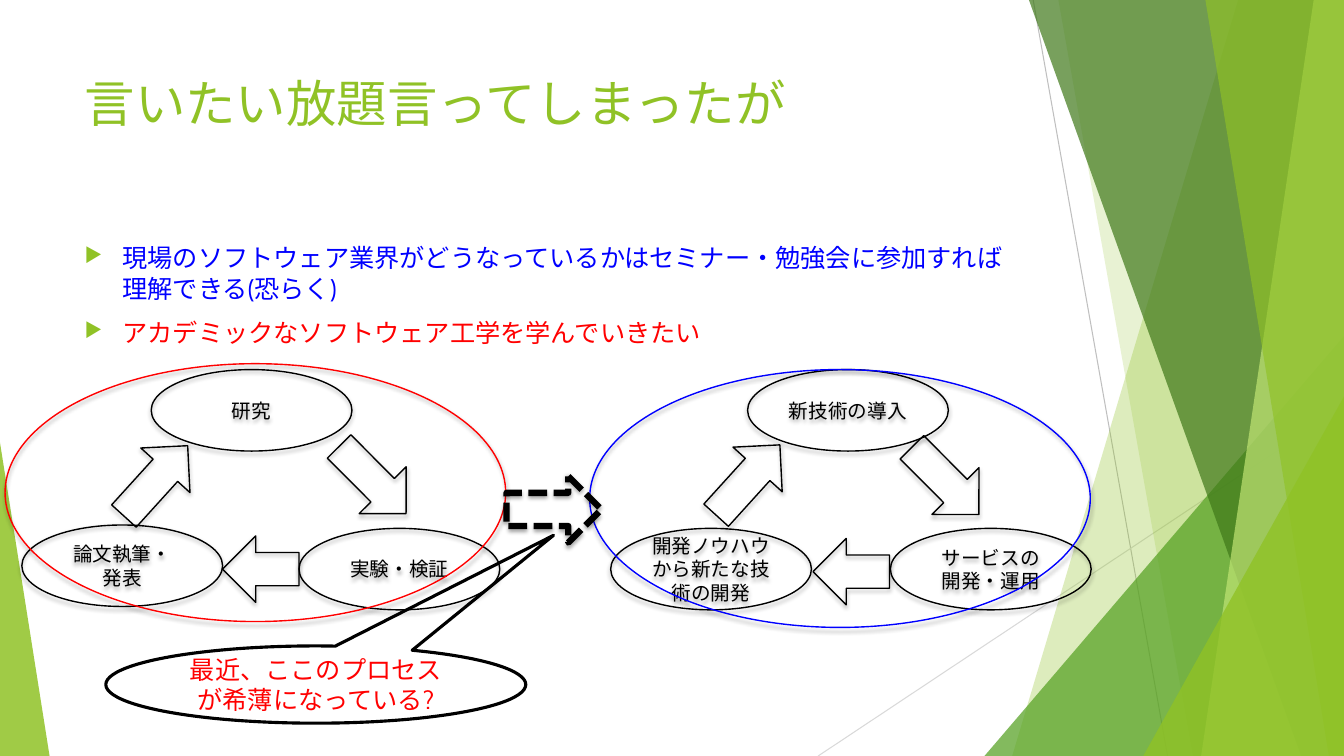
"""Build the slide linking the research cycle to the industry cycle."""
from dataclasses import dataclass
from typing import NamedTuple, Optional

from lxml.etree import SubElement
from pptx import Presentation
from pptx.dml.color import RGBColor
from pptx.enum.dml import MSO_LINE as Dash
from pptx.enum.lang import MSO_LANGUAGE_ID as Language
from pptx.enum.shapes import MSO_CONNECTOR as Connector, MSO_SHAPE as Preset
from pptx.enum.text import MSO_ANCHOR as Anchor, PP_ALIGN as Align
from pptx.oxml.ns import qn
from pptx.util import Emu, Pt

COLUMNS, ROWS, CELL = 160, 90, 76200


@dataclass(frozen=True)
class Theme:
    font: str = "Cabin"
    black: str = "000000"
    red: str = "FF0000"
    blue: str = "0000FF"
    lime: str = "90C226"
    green: str = "54A021"
    forest: str = "3F7819"
    pale: str = "C0E474"
    gray: str = "BFBFBF"
    silver: str = "D9D9D9"
    title: int = 36
    body: int = 18
    label: int = 14


THEME = Theme()


class Box(NamedTuple):
    left: float
    top: float
    width: float
    height: float


class Facet(NamedTuple):
    top: float
    bottom: float
    color: str
    opacity: int


class Wedge(NamedTuple):
    box: Box
    apex: float
    color: str
    opacity: int


@dataclass(frozen=True)
class Figure:
    preset: Preset
    box: Box
    color: str = THEME.black
    weight: float = 1
    text: str = ""
    size: int = THEME.label
    ink: str = THEME.black
    rotation: float = 0
    dash: Optional[Dash] = None
    shadow: bool = True
    adjustments: tuple = ()


def grid(*lengths: float) -> list:
    return [Emu(round(length * CELL)) for length in lengths]


def node(left: float, top: float, text: str) -> Figure:
    return Figure(Preset.OVAL, Box(left, top, 23.9, 9.7), text=text)


def arrow(left: float, top: float, rotation: float, height: float = 11.3, **options) -> Figure:
    return Figure(Preset.UP_ARROW, Box(left, top, 7.9, height), rotation=rotation, **options)


def ring(left: float, top: float, color: str) -> Figure:
    return Figure(Preset.OVAL, Box(left, top, 59.6, 30.7), color)


DECOR = [
    Facet(147.4, 120.5, THEME.lime, 30),
    Facet(126, 142, THEME.lime, 20),
    Wedge(Box(117.2, 40, 42.8, 50), 1, THEME.green, 72),
    Facet(122.5, 154.9, THEME.forest, 70),
    Facet(156.4, 143, THEME.pale, 70),
    Facet(143.5, 158.2, THEME.lime, 65),
    Wedge(Box(136.1, 47.2, 23.9, 42.8), 1, THEME.lime, 80),
    Wedge(Box(0, 52.7, 5.9, 37.3), 0, THEME.lime, 85),
]
RAYS = [((123, 0, 139, ROWS), THEME.gray), ((COLUMNS, 48.4, 97.4, ROWS), THEME.silver)]
BULLETS = [
    ("現場のソフトウェア業界がどうなっているかはセミナー・勉強会に参加すれば理解できる(恐らく)", THEME.blue),
    ("アカデミックなソフトウェア工学を学んでいきたい", THEME.red),
]
FIGURES = [
    node(89, 44, "新技術の導入"),
    node(18, 44, "研究"),
    node(35.6, 62.9, "実験・検証"),
    node(2.6, 62.5, "論文執筆・\n発表"),
    node(106, 62.9, "サービスの\n開発・運用"),
    node(72.7, 62.9, "開発ノウハウから新たな技術の開発"),
    arrow(108.6, 51.6, 135.1),
    arrow(27.1, 63.2, 270, 9.1),
    arrow(14.6, 51.6, 42.2),
    arrow(40.4, 51.5, 135.1),
    arrow(97.4, 63.5, 270, 9.1),
    arrow(85.1, 51.5, 42.2),
    ring(0.6, 43.3, THEME.red),
    ring(70.2, 44, THEME.blue),
    arrow(62, 55, 90, weight=4.5, dash=Dash.SQUARE_DOT),
    Figure(Preset.OVAL_CALLOUT, Box(12.6, 76.9, 50, 9.2), weight=2.25,
           text="最近、ここのプロセスが希薄になっている?", size=THEME.body, ink=THEME.red,
           shadow=False, adjustments=(0.566, -1.932)),
]


def write(paragraph, text: str, *, size: int, color: str, align=Align.LEFT, bullet: bool = False) -> None:
    paragraph.text = text
    paragraph.alignment = align
    for run in paragraph.runs:
        run.font.size = Pt(size)
        run.font.color.rgb = RGBColor.from_string(color)
        run.font.name = THEME.font
        run.font.language_id = Language.JAPANESE
        SubElement(run._r.get_or_add_rPr(), qn("a:ea"), typeface=THEME.font)
    if bullet:
        paragraph.space_before = Pt(10)
        properties = paragraph._p.get_or_add_pPr()
        properties.set("marL", str(Pt(27)))
        properties.set("indent", str(-Pt(27)))
        SubElement(SubElement(properties, qn("a:buClr")), qn("a:srgbClr"), val=THEME.lime)
        SubElement(properties, qn("a:buSzPct"), val="80000")
        SubElement(properties, qn("a:buChar"), char="▶")


def add_text_frame(slide, box: Box):
    frame = slide.shapes.add_textbox(*grid(*box)).text_frame
    frame.word_wrap = True
    return frame


def draw_ray(slide, ends: tuple, color: str) -> None:
    ray = slide.shapes.add_connector(Connector.STRAIGHT, *grid(*ends))
    ray.line.color.rgb = RGBColor.from_string(color)
    ray.line.width = Pt(0.75)
    SubElement(ray._element.spPr, qn("a:effectLst"))


def draw_decor(slide, item) -> None:
    if isinstance(item, Facet):
        corners = [(COLUMNS, 0), (COLUMNS, ROWS), (item.bottom, ROWS)]
        outline = slide.shapes.build_freeform(*grid(item.top, 0))
        outline.add_line_segments([grid(*corner) for corner in corners], close=True)
        shape = outline.convert_to_shape()
    else:
        shape = slide.shapes.add_shape(Preset.ISOSCELES_TRIANGLE, *grid(*item.box))
        shape.adjustments[0] = item.apex
    shape.shadow.inherit = False
    shape.line.fill.background()
    shape.fill.solid()
    shape.fill.fore_color.rgb = RGBColor.from_string(item.color)
    tint = shape._element.spPr.find(qn("a:solidFill")).find(qn("a:srgbClr"))
    SubElement(tint, qn("a:alpha"), val=str(item.opacity * 1000))


def draw_figure(slide, figure: Figure) -> None:
    shape = slide.shapes.add_shape(figure.preset, *grid(*figure.box))
    shape.rotation = figure.rotation
    for index, value in enumerate(figure.adjustments):
        shape.adjustments[index] = value
    shape.fill.background()
    shape.line.color.rgb = RGBColor.from_string(figure.color)
    shape.line.width = Pt(figure.weight)
    if figure.dash:
        shape.line.dash_style = figure.dash
    shape.shadow.inherit = False
    if figure.shadow:
        effects = shape._element.spPr.find(qn("a:effectLst"))
        shadow = SubElement(effects, qn("a:outerShdw"), blurRad=str(Pt(3)), dist=str(Pt(2)),
                            dir="5400000", rotWithShape="0")
        tint = SubElement(shadow, qn("a:srgbClr"), val=THEME.black)
        SubElement(tint, qn("a:alpha"), val="35000")
    if figure.text:
        frame = shape.text_frame
        frame.word_wrap = True
        frame.vertical_anchor = Anchor.MIDDLE
        write(frame.paragraphs[0], figure.text, size=figure.size, color=figure.ink, align=Align.CENTER)


presentation = Presentation()
presentation.slide_width, presentation.slide_height = grid(COLUMNS, ROWS)
slide = presentation.slides.add_slide(presentation.slide_layouts[6])
for ends, color in RAYS:
    draw_ray(slide, ends, color)
for item in DECOR:
    draw_decor(slide, item)
title = add_text_frame(slide, Box(8.9, 8, 112.8, 17.3))
write(title.paragraphs[0], "言いたい放題言ってしまったが", size=THEME.title, color=THEME.lime)
body = add_text_frame(slide, Box(8.9, 28.3, 112.8, 50.9))
for index, (text, color) in enumerate(BULLETS):
    paragraph = body.add_paragraph() if index else body.paragraphs[0]
    write(paragraph, text, size=THEME.body, color=color, bullet=True)
for figure in FIGURES:
    draw_figure(slide, figure)
presentation.save("out.pptx")
